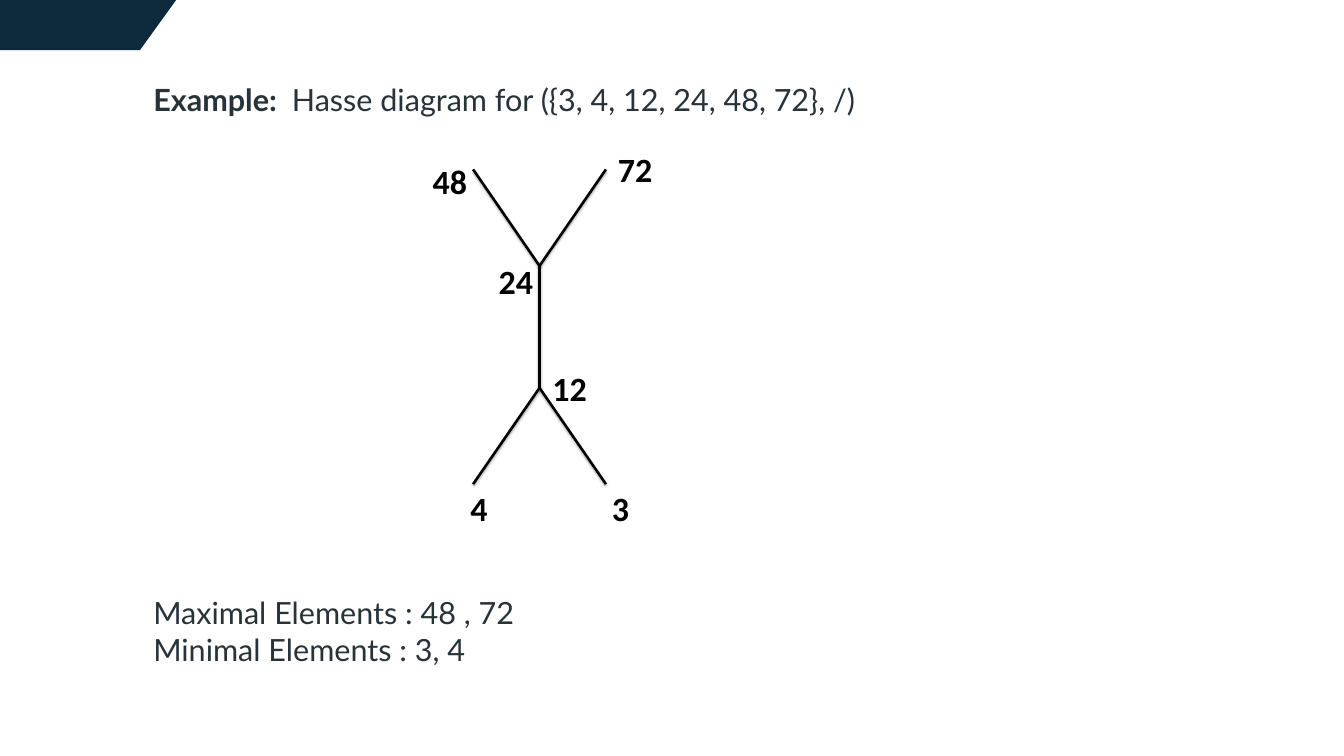
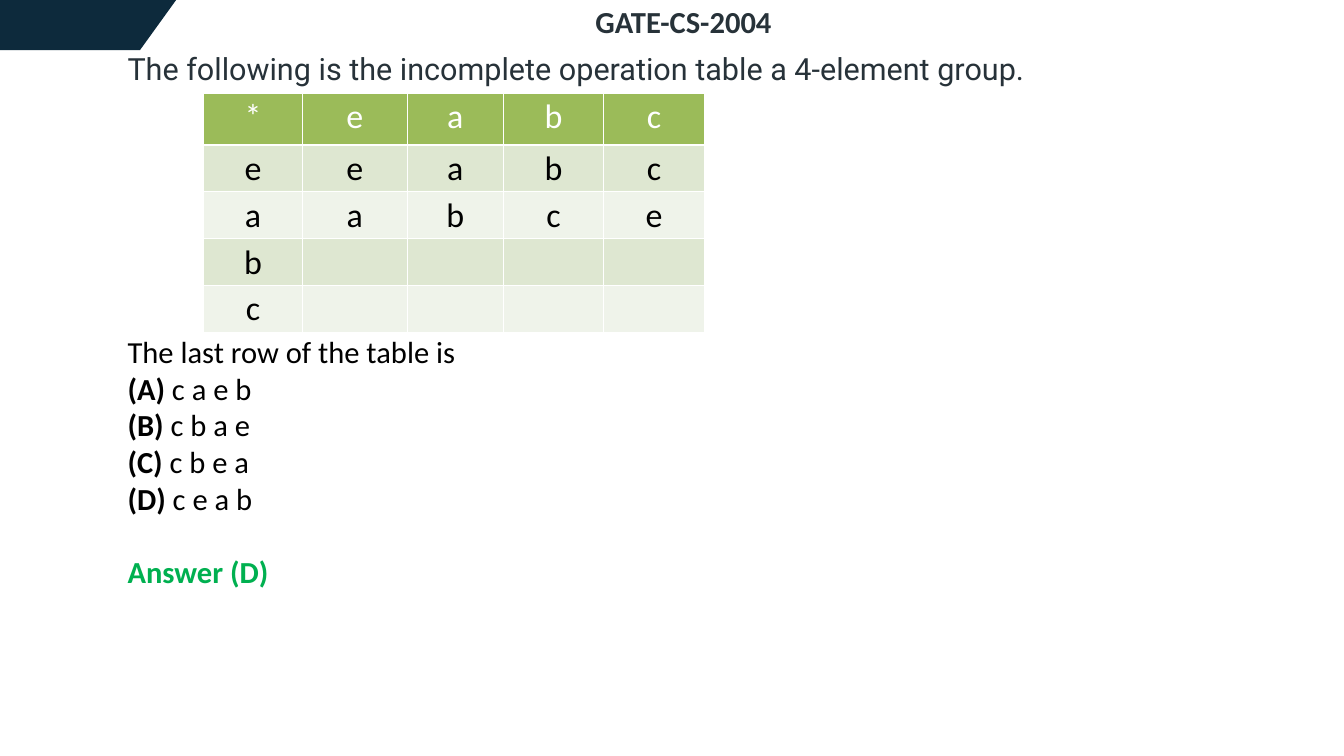
from lxml import etree
from pptx import Presentation
from pptx.dml.color import RGBColor
from pptx.enum.shapes import MSO_CONNECTOR as CONN
from pptx.enum.text import PP_ALIGN as AL
from pptx.oxml import parse_xml
from pptx.oxml.ns import nsdecls, qn
from pptx.util import Cm, Pt

# Shared look
NAVY, INK, BLACK, WHITE, GREEN = "0D2A3C", "273239", "000000", "FFFFFF", "00B050"
HEAD_FILL, ROW_FILLS = "9BBB59", ("DEE7D1", "EFF3EA")
BAND = [(7.32, 0), (0, 0), (0, 2.08), (5.82, 2.08)]
LATO = dict(name="Lato", size=36, color=INK)
HEADING = dict(name="Calibri", size=36, color=INK, bold=True)
QUESTION = dict(name="Roboto", size=36, color=INK)
BODY = dict(name="Calibri", size=36, color=BLACK)
ANSWER = dict(name="Calibri", size=36, color=GREEN, bold=True)
NODE = dict(name="Calibri", size=40, color=BLACK, bold=True)
CELL = dict(name="Calibri", size=40, color=BLACK)
BOLD = dict(bold=True)

# Slide 1: a paragraph is a list of (text, format changes)
EXAMPLE = [[("Example:  ", BOLD), ("Hasse diagram for ({3, 4, 12, 24, 48, 72}, /)", {})]]
ELEMENTS = [[("Maximal Elements : 48 , 72", {})], [("Minimal Elements : 3, 4", {})]]
MID, ARM = 22.42, 2.76
TOP, UPPER, LOWER, BOTTOM = 7.04, 11.05, 16.12, 20.12
# element: (vertex x, vertex y, label offset x, label offset y)
NODES = {
    "48": (MID - ARM, TOP, -1.93, -0.49),
    "72": (MID + ARM, TOP, 0.25, -0.99),
    "24": (MID, UPPER, -1.95, -0.33),
    "12": (MID, LOWER, 0.29, -0.98),
    "4": (MID - ARM, BOTTOM, -0.36, 0.02),
    "3": (MID + ARM, BOTTOM, 0, 0),
}
EDGES = [("48", "24"), ("72", "24"), ("24", "12"), ("12", "3"), ("12", "4")]

# Slide 2
TITLE = [[("GATE-CS-2004", {})]]
PROMPT = [[("The following is the incomplete operation table a 4-element group.", {})]]
OPERATION = ["*eabc", "eeabc", "aabce", "b", "c"]
COL_WIDTHS = [4.11, 4.34, 4.01, 4.17, 4.17]
ROW_HEIGHTS = [2.16] + [1.95] * 4
OPTIONS = [("(A)", "c a e b"), ("(B)", "c b a e"), ("(C)", "c b e a"), ("(D)", "c e a b")]
CHOICES = [[("The last row of the table is", {})]] + [
    [(key, BOLD), (" " + row, {})] for key, row in OPTIONS]
REPLY = [[("Answer (D)", {})]]


def rgb(value):
    return RGBColor.from_string(value)


def add_run(p, text, fmt):
    r = p.add_run()
    r.text = text
    for key, value in fmt.items():
        if key == "color":
            r.font.color.rgb = rgb(value)
        else:
            setattr(r.font, key, Pt(value) if key == "size" else value)


def add_text(s, box, paragraphs, fmt, align=AL.LEFT, wrap=True):
    tf = s.shapes.add_textbox(*map(Cm, box)).text_frame
    tf.word_wrap = wrap
    for i, runs in enumerate(paragraphs):
        p = tf.add_paragraph() if i else tf.paragraphs[0]
        p.alignment = align
        for text, changes in runs:
            add_run(p, text, {**fmt, **changes})


def add_slide(prs):
    s = prs.slides.add_slide(prs.slide_layouts[6])
    # Corner band
    points = [(Cm(x), Cm(y)) for x, y in BAND]
    fb = s.shapes.build_freeform(*points[0])
    fb.add_line_segments(points[1:], close=True)
    sp = fb.convert_to_shape()
    sp.shadow.inherit = False
    sp.fill.solid()
    sp.fill.fore_color.rgb = rgb(NAVY)
    sp.line.fill.background()
    return s


def add_edge(s, start, end):
    ends = [Cm(v) for node in (start, end) for v in NODES[node][:2]]
    line = s.shapes.add_connector(CONN.STRAIGHT, *ends)
    line.line.color.rgb = rgb(BLACK)
    line.line.width = Pt(3)
    line._element.spPr.append(parse_xml(
        f'<a:effectLst {nsdecls("a")}><a:outerShdw blurRad="{Pt(3.1)}" dist="{Pt(1.8)}" '
        f'dir="5400000" rotWithShape="0"><a:srgbClr val="{BLACK}"><a:alpha val="35000"/>'
        '</a:srgbClr></a:outerShdw></a:effectLst>'))


def set_borders(cell, widths):
    tc_pr = cell._tc.get_or_add_tcPr()
    for side, width in widths.items():
        ln = etree.SubElement(tc_pr, qn(f"a:ln{side}"), w=str(Pt(width)))
        fill = etree.SubElement(ln, qn("a:solidFill"))
        etree.SubElement(fill, qn("a:srgbClr"), val=WHITE)


def add_operation_table(s, left, top):
    size = len(OPERATION)
    frame = s.shapes.add_table(size, size, Cm(left), Cm(top),
                               Cm(sum(COL_WIDTHS)), Cm(sum(ROW_HEIGHTS)))
    table = frame.table
    for col, width in zip(table.columns, COL_WIDTHS):
        col.width = Cm(width)
    for i, (row, height) in enumerate(zip(table.rows, ROW_HEIGHTS)):
        row.height = Cm(height)
        for cell, text in zip(row.cells, OPERATION[i].ljust(size)):
            set_borders(cell, dict(L=1, R=1, T=3 if i == 1 else 1, B=1 if i else 3))
            cell.fill.solid()
            cell.fill.fore_color.rgb = rgb(ROW_FILLS[(i - 1) % 2] if i else HEAD_FILL)
            if text.strip():
                p = cell.text_frame.paragraphs[0]
                p.alignment = AL.CENTER
                add_run(p, text, {**CELL, "color": BLACK if i else WHITE})


def hasse_slide(prs):
    s = add_slide(prs)
    add_text(s, (6.12, 3.23, 31.2, 1.8), EXAMPLE, LATO)
    for edge in EDGES:
        add_edge(s, *edge)
    for label, (x, y, dx, dy) in NODES.items():
        width = 0.54 + 0.71 * len(label)
        add_text(s, (x + dx, y + dy, width, 1.96), [[(label, {})]], NODE, wrap=False)
    add_text(s, (6.12, 24.56, 31.2, 3.3), ELEMENTS, LATO)


def group_slide(prs):
    s = add_slide(prs)
    left, width = 5.05, 46.7
    add_text(s, (left, 0, width, 1.8), TITLE, HEADING, AL.CENTER)
    # The prompt's letters start below the corner band
    add_text(s, (left, 1.95, width, 1.8), PROMPT, QUESTION)
    add_operation_table(s, 8.46, 3.86)
    add_text(s, (left, 13.72, width, 7.9), CHOICES, BODY)
    add_text(s, (left, 22.87, width, 1.8), REPLY, ANSWER)


def main():
    prs = Presentation()
    prs.slide_width, prs.slide_height = Cm(55.85), Cm(31.42)
    hasse_slide(prs)
    group_slide(prs)
    prs.save("out.pptx")


if __name__ == "__main__":
    main()
